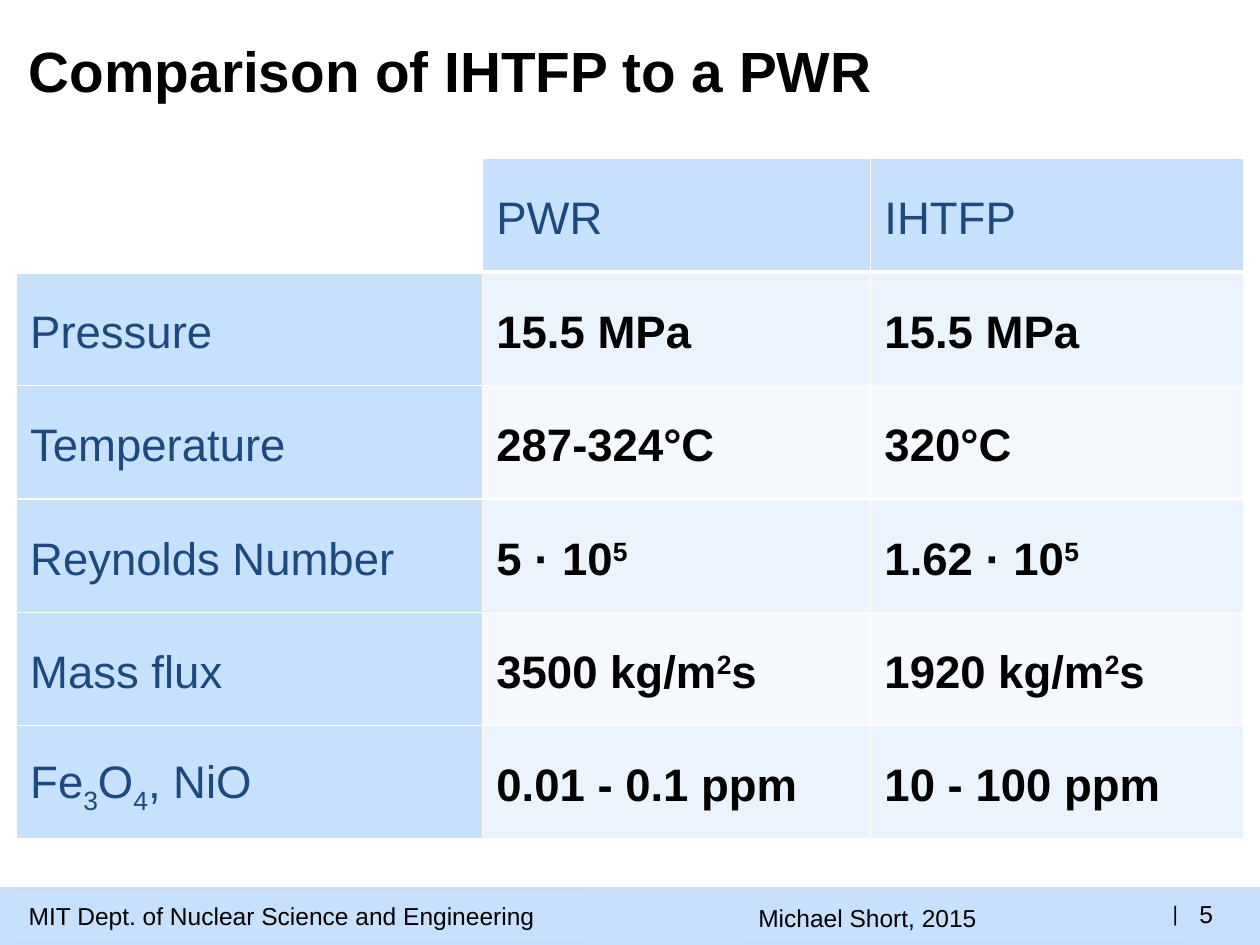
from dataclasses import dataclass

from lxml.etree import SubElement
from pptx import Presentation
from pptx.dml.color import RGBColor
from pptx.enum.shapes import MSO_SHAPE
from pptx.enum.text import MSO_ANCHOR, PP_ALIGN
from pptx.oxml.ns import qn
from pptx.util import Inches, Pt

COLORS = {
    "bar": "C7DFFB",
    "head": "C7E0FB",
    "odd": "EBF3FD",
    "even": "F5F9FE",
    "navy": "1F497D",
    "black": "000000",
    "white": "FFFFFF",
}
BASES = {"^": "30000", "_": "-25000"}
ROWS = [
    ["", "PWR", "IHTFP"],
    ["Pressure", "15.5 MPa", "15.5 MPa"],
    ["Temperature", "287-324°C", "320°C"],
    ["Reynolds Number", "5 · 10|^5", "1.62 · 10|^5"],
    ["Mass flux", "3500 kg/m|^2|s", "1920 kg/m|^2|s"],
    ["Fe|_3|O|_4|, NiO", "0.01 - 0.1 ppm", "10 - 100 ppm"],
]
WIDTHS = [3.7, 3.08, 2.96]
HEIGHT = 0.9


@dataclass
class Box:
    left: float
    top: float
    width: float
    height: float
    text: str = ""
    size: float = 14
    align: PP_ALIGN = PP_ALIGN.LEFT

    def frame(self) -> list:
        return [Inches(n) for n in (self.left, self.top, self.width, self.height)]


PANELS = [
    Box(5.92, 7.11, 3.46, 0.34, "Michael Short, 2015"),
    Box(0.13, 7.1, 4.54, 0.34, "MIT Dept. of Nuclear Science and Engineering"),
]
MARKS = [
    Box(9.27, 7.15, 0.08, 0.2, "|", 12, PP_ALIGN.RIGHT),
    Box(9.52, 7.17, 0.23, 0.17, "5"),
]


def color(name: str) -> RGBColor:
    return RGBColor.from_string(COLORS[name])


def style(run, size: float, name: str = "black", bold: bool = False) -> None:
    run.font.name = "Arial"
    run.font.size = Pt(size)
    run.font.bold = bold
    run.font.color.rgb = color(name)


def write(shape, box: Box, bold: bool = False) -> None:
    frame = shape.text_frame
    frame.text = box.text
    frame.vertical_anchor = MSO_ANCHOR.MIDDLE
    line = frame.paragraphs[0]
    line.alignment = box.align
    for run in line.runs:
        style(run, box.size, bold=bold)


def panel(slide, box: Box, fill: str, edge: bool = False) -> None:
    shape = slide.shapes.add_shape(MSO_SHAPE.RECTANGLE, *box.frame())
    shape.shadow.inherit = False
    shape.fill.solid()
    shape.fill.fore_color.rgb = color(fill)
    if edge:
        shape.line.color.rgb = color(fill)
        shape.line.width = Pt(2)
    else:
        shape.line.fill.background()
    write(shape, box)


def mark(slide, box: Box) -> None:
    shape = slide.shapes.add_textbox(*box.frame())
    frame = shape.text_frame
    frame.margin_left = frame.margin_right = 0
    frame.margin_top = frame.margin_bottom = 0
    frame.word_wrap = False
    write(shape, box)


def border(cell, base: int) -> None:
    props = cell._tc.get_or_add_tcPr()
    for spot, (side, width) in enumerate(zip("LRTB", (1, 1, 1, base))):
        line = SubElement(props, qn(f"a:ln{side}"), w=str(Pt(width)))
        fill = SubElement(line, qn("a:solidFill"))
        SubElement(fill, qn("a:srgbClr"), val=COLORS["white"])
        props.insert(spot, line)


def fill_cell(cell, text: str, row: int, col: int) -> None:
    label = row == 0 or col == 0
    cell.vertical_anchor = MSO_ANCHOR.MIDDLE
    cell.margin_left = cell.margin_right = Inches(0.11)
    cell.margin_top = cell.margin_bottom = 0
    if text:
        cell.fill.solid()
        shade = "head" if label else "odd" if row % 2 else "even"
        cell.fill.fore_color.rgb = color(shade)
        line = cell.text_frame.paragraphs[0]
        line.line_spacing = 1.15
        for part in text.split("|"):
            run = line.add_run()
            run.text = part.lstrip("^_")
            style(run, 26, "navy" if label else "black", not label)
            if part[0] in BASES:
                run.font._element.set("baseline", BASES[part[0]])
    else:
        cell.fill.background()
    border(cell, 3 if row == 0 else 1)


def grid(slide) -> None:
    box = Box(0.13, 1.26, sum(WIDTHS), HEIGHT * len(ROWS))
    table = slide.shapes.add_table(len(ROWS), len(WIDTHS), *box.frame()).table
    table.first_row = table.horz_banding = False
    for col, width in zip(table.columns, WIDTHS):
        col.width = Inches(width)
    for i, row in enumerate(ROWS):
        table.rows[i].height = Inches(HEIGHT)
        for j, text in enumerate(row):
            fill_cell(table.cell(i, j), text, i, j)


def main() -> None:
    deck = Presentation()
    deck.slide_width, deck.slide_height = Inches(10), Inches(7.5)
    slide = deck.slides.add_slide(deck.slide_layouts[5])
    panel(slide, Box(0, 7.04, 10, 0.46), "bar")
    for box in PANELS:
        panel(slide, box, "head", True)
    for box in MARKS:
        mark(slide, box)
    head = Box(0.13, 0.25, 9.43, 0.61, "Comparison of IHTFP to a PWR", 32.4)
    title = slide.shapes.title
    title.left, title.top, title.width, title.height = head.frame()
    write(title, head, True)
    grid(slide)
    deck.save("out.pptx")


if __name__ == "__main__":
    main()
